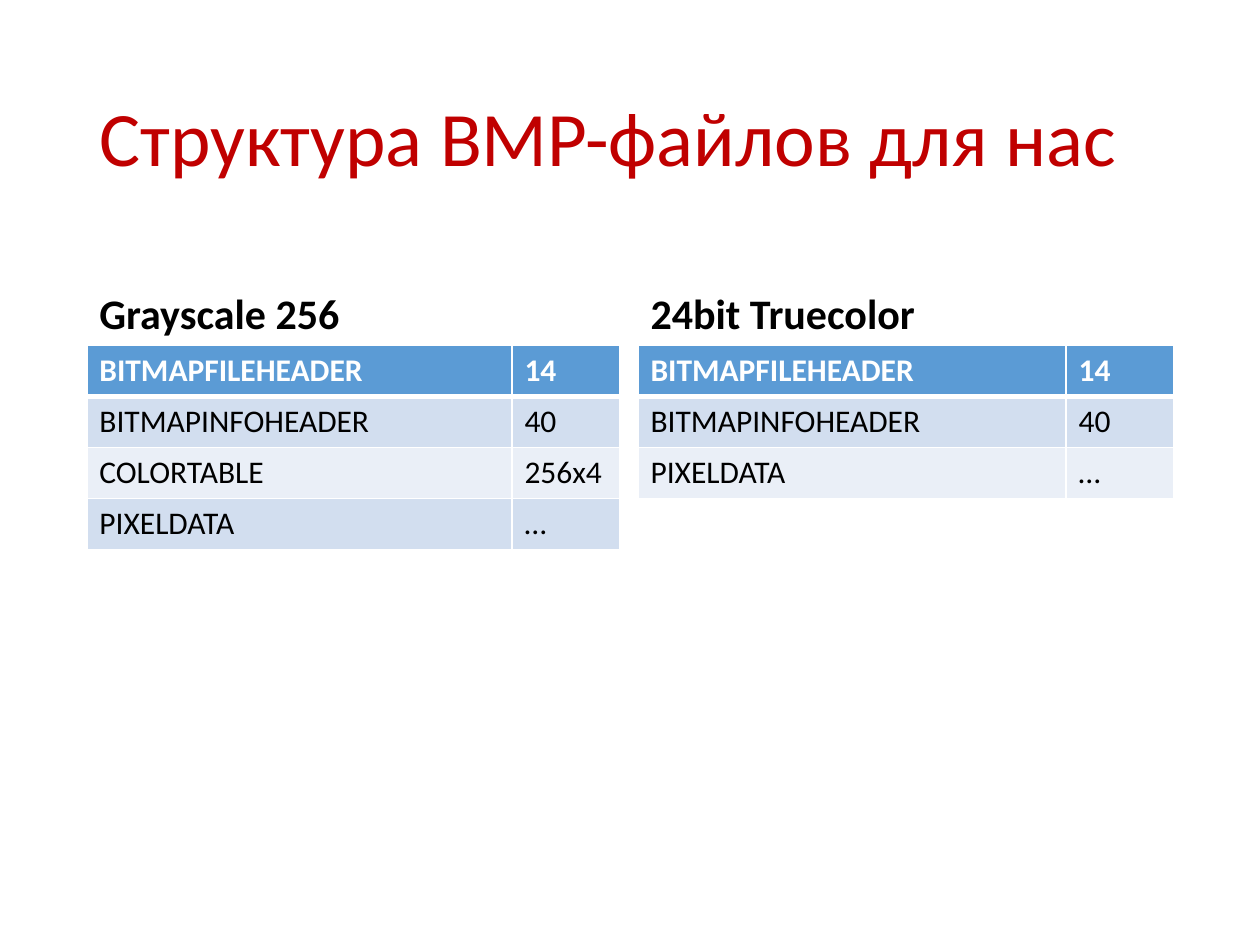
from lxml.etree import SubElement as Sub
from pptx import Presentation as Deck
from pptx.dml.color import RGBColor as RGB
from pptx.enum.text import MSO_ANCHOR as Anchor, MSO_AUTO_SIZE as Fit, PP_ALIGN as Align
from pptx.oxml.ns import qn
from pptx.util import Cm, Pt

RED = RGB(0xC0, 0x00, 0x00)
BLACK = RGB(0x00, 0x00, 0x00)
WHITE = RGB(0xFF, 0xFF, 0xFF)
BLUE = RGB(0x5B, 0x9B, 0xD5)
BANDS = [RGB(0xD2, 0xDE, 0xEF), RGB(0xEA, 0xEF, 0xF7)]

ROW, SIZE = 1.03, 2.17  # row height and width of the size column, cm
HEAD = 2.29             # height of a column heading, cm

GRAY = [("BITMAPFILEHEADER", "14"), ("BITMAPINFOHEADER", "40"),
        ("COLORTABLE", "256x4"), ("PIXELDATA", "…")]
TRUE = [GRAY[0], GRAY[1], GRAY[3]]


def apply(item, style):
    for name, value in style.items():
        setattr(item, name, value)


def paint(font, size, color, bold=False):
    apply(font, {"name": "Calibri", "size": Pt(size), "bold": bold})
    font.color.rgb = color


def fill_holder(holder, text, box, anchor, size, color, bold, before):
    places = zip(("left", "top", "width", "height"), map(Cm, box))
    apply(holder, dict(places))
    frame = holder.text_frame
    frame.text = text
    apply(frame, {"vertical_anchor": anchor, "word_wrap": True,
                  "auto_size": Fit.NONE})
    para = frame.paragraphs[0]
    apply(para, {"alignment": Align.LEFT, "line_spacing": 0.9,
                 "space_before": Pt(before)})
    paint(para.runs[0].font, size, color, bold)


def add_edges(cell, widths):
    props = cell._tc.get_or_add_tcPr()
    for side, width in widths.items():
        line = Sub(props, qn(f"a:ln{side}"), w=str(Pt(width)))
        fill = Sub(line, qn("a:solidFill"))
        Sub(fill, qn("a:srgbClr"), val=str(WHITE))


def add_grid(slide, rows, x, y, w):
    frame = slide.shapes.add_table(len(rows), 2, Cm(x), Cm(y), Cm(w),
                                   Cm(ROW * len(rows)))
    table = frame.table
    for col, width in zip(table.columns, (w - SIZE, SIZE)):
        col.width = Cm(width)
    for r, row in enumerate(rows):
        table.rows[r].height = Cm(ROW)
        top = r == 0
        for c, text in enumerate(row):
            cell = table.cell(r, c)
            # Thick rule between the header and the body
            add_edges(cell, {"L": 1, "R": 1, "T": 3 if r == 1 else 1,
                             "B": 3 if top else 1})
            cell.fill.solid()
            cell.fill.fore_color.rgb = BLUE if top else BANDS[(r - 1) % 2]
            cell.text = text
            font = cell.text_frame.paragraphs[0].runs[0].font
            paint(font, 18, WHITE if top else BLACK, top)


def add_column(slide, holder, text, rows, x, y, w):
    fill_holder(holder, text, (x, y, w, HEAD), Anchor.BOTTOM,
                24, BLACK, True, 10)
    add_grid(slide, rows, x, y + HEAD, w)


def main():
    deck = Deck()
    apply(deck, {"slide_width": Cm(25.4), "slide_height": Cm(19.05)})
    slide = deck.slides.add_slide(deck.slide_layouts.get_by_name("Comparison"))
    title, left, spare, right, extra = slide.placeholders

    # Tables stand in for the two content placeholders
    for holder in (spare, extra):
        holder.element.getparent().remove(holder.element)

    # Title
    fill_holder(title, "Структура BMP-файлов для нас", (1.75, 1.02, 21.9, 3.68),
                Anchor.MIDDLE, 44, RED, False, 0)

    # Two file layouts side by side
    add_column(slide, left, "Grayscale 256", GRAY, 1.75, 4.67, 10.74)
    add_column(slide, right, "24bit Truecolor", TRUE, 12.86, 4.67, 10.8)

    deck.save("out.pptx")


if __name__ == "__main__":
    main()
